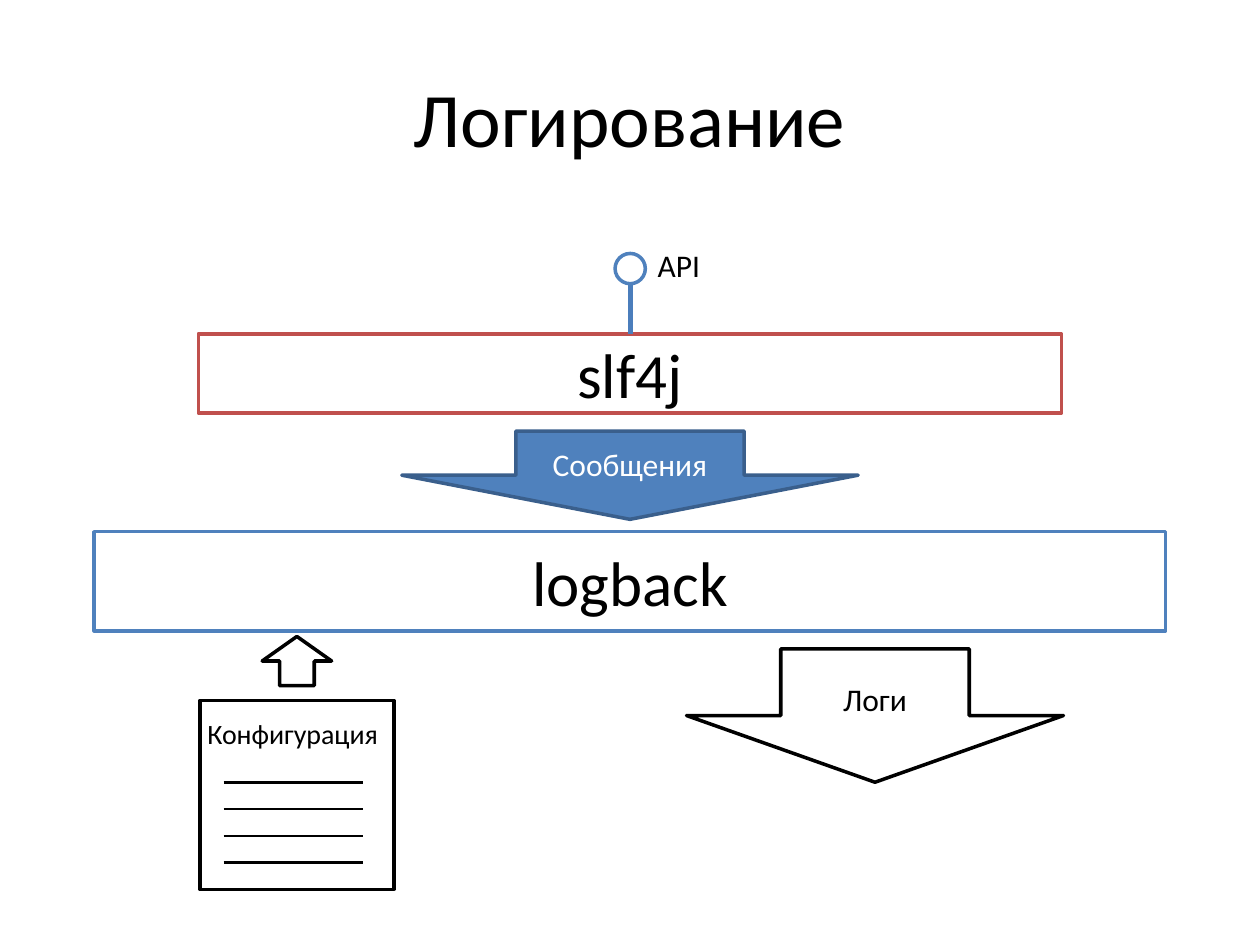
from dataclasses import dataclass

from lxml.etree import SubElement
from pptx import Presentation
from pptx.dml.color import RGBColor
from pptx.enum.shapes import MSO_CONNECTOR as Connector, MSO_SHAPE as Shape
from pptx.enum.text import MSO_ANCHOR as Anchor, PP_ALIGN as Align
from pptx.oxml.ns import qn
from pptx.util import Cm, Pt


@dataclass(frozen=True)
class Theme:
    """Colours, type sizes and line widths of the slide."""
    font: str = "Calibri"
    black: str = "000000"
    white: str = "FFFFFF"
    blue: str = "4F81BD"
    dark_blue: str = "3A5F8C"
    stem_blue: str = "4B7EBC"
    red: str = "C0504D"
    title: int = 44
    layer: int = 36
    label: int = 18
    small: int = 16
    outline: float = 2
    stem: float = 3
    rule: float = 1.5


@dataclass(frozen=True)
class Box:
    """A rectangle in centimetres."""
    left: float
    top: float
    width: float
    height: float

    def inner(self, left, top, width, height):
        """Return a box placed relative to this one."""
        return Box(self.left + left, self.top + top, width, height)

    def emu(self):
        """Return the four lengths for python-pptx."""
        return [Cm(value) for value in (self.left, self.top, self.width, self.height)]


THEME = Theme()


def apply_format(target, values):
    """Set each named attribute on the target."""
    for name, value in values.items():
        setattr(target, name, value)


def write_text(shape, text, size, color=THEME.black, align=Align.CENTER,
               anchor=Anchor.MIDDLE, wrap=True):
    """Write one formatted paragraph into a shape."""
    frame = shape.text_frame
    apply_format(frame, {"word_wrap": wrap, "vertical_anchor": anchor})
    paragraph = frame.paragraphs[0]
    paragraph.alignment = align
    run = paragraph.add_run()
    run.text = text
    apply_format(run.font, {"name": THEME.font, "size": Pt(size)})
    run.font.color.rgb = RGBColor.from_string(color)


def add_outlined(shapes, kind, box, line, fill=THEME.white):
    """Add a filled and outlined preset shape."""
    shape = shapes.add_shape(kind, *box.emu())
    shape.shadow.inherit = False
    shape.fill.solid()
    shape.fill.fore_color.rgb = RGBColor.from_string(fill)
    shape.line.color.rgb = RGBColor.from_string(line)
    shape.line.width = Pt(THEME.outline)
    return shape


def add_line(shapes, start, end, color, width):
    """Add a straight line between two points in centimetres."""
    line = shapes.add_connector(Connector.STRAIGHT, *map(Cm, (*start, *end)))
    line.line.color.rgb = RGBColor.from_string(color)
    line.line.width = Pt(width)
    SubElement(line._element.spPr, qn("a:effectLst"))


def add_title(shapes, box, text):
    """Place the slide title."""
    write_text(shapes.add_textbox(*box.emu()), text, THEME.title)


def add_layer(shapes, box, text, line):
    """Place one library layer."""
    write_text(add_outlined(shapes, Shape.RECTANGLE, box, line), text, THEME.layer)


def add_flow(shapes, box, text, line, fill, color):
    """Place a labelled down arrow."""
    arrow = add_outlined(shapes, Shape.DOWN_ARROW, box, line, fill)
    write_text(arrow, text, THEME.label, color)


def add_api(shapes, box):
    """Place the interface symbol with its stem and label."""
    diameter = 0.61
    center = box.left + diameter / 2
    add_line(shapes, (center, box.top + box.height), (center, box.top + 0.71),
             THEME.stem_blue, THEME.stem)
    add_outlined(shapes, Shape.OVAL, box.inner(0, 0.28, diameter, diameter), THEME.blue)
    label = shapes.add_textbox(*box.inner(diameter, 0, box.width - diameter, 1.02).emu())
    write_text(label, "API", THEME.label, align=Align.LEFT, anchor=Anchor.TOP)


def add_configuration(shapes, box):
    """Place the configuration page as a group, with the arrow above it."""
    page = shapes.add_group_shape().shapes
    add_outlined(page, Shape.RECTANGLE, box, THEME.black)
    for index in range(4):
        left, top = box.left + 0.48, box.top + 1.65 + 0.54 * index
        add_line(page, (left, top), (left + 2.8, top), THEME.black, THEME.rule)
    label = page.add_textbox(*box.inner(-0.1, 0.2, 3.99, 0.86).emu())
    write_text(label, "Конфигурация", THEME.small, align=Align.LEFT,
               anchor=Anchor.TOP, wrap=False)
    width = 1.4
    arrow_box = box.inner((box.width - width) / 2, -1.29, width, 0.99)
    add_outlined(shapes, Shape.DOWN_ARROW, arrow_box, THEME.black).rotation = 180


def main():
    """Build and save the slide."""
    presentation = Presentation()
    apply_format(presentation, {"slide_width": Cm(25.4), "slide_height": Cm(19.05)})
    slide = presentation.slides.add_slide(presentation.slide_layouts[6])
    shapes = slide.shapes
    add_title(shapes, Box(1.27, 0.76, 22.86, 3.18), "Логирование")
    add_layer(shapes, Box(4, 6.73, 17.4, 1.6), "slf4j", THEME.red)
    add_layer(shapes, Box(1.9, 10.72, 21.6, 2), "logback", THEME.blue)
    add_flow(shapes, Box(8.1, 8.69, 9.2, 1.78), "Сообщения",
             THEME.dark_blue, THEME.blue, THEME.white)
    add_api(shapes, Box(12.4, 4.83, 2.01, 1.9))
    add_configuration(shapes, Box(4.03, 14.12, 3.91, 3.81))
    add_flow(shapes, Box(13.84, 13.08, 7.6, 2.69), "Логи",
             THEME.black, THEME.white, THEME.black)
    presentation.save("out.pptx")


if __name__ == "__main__":
    main()
